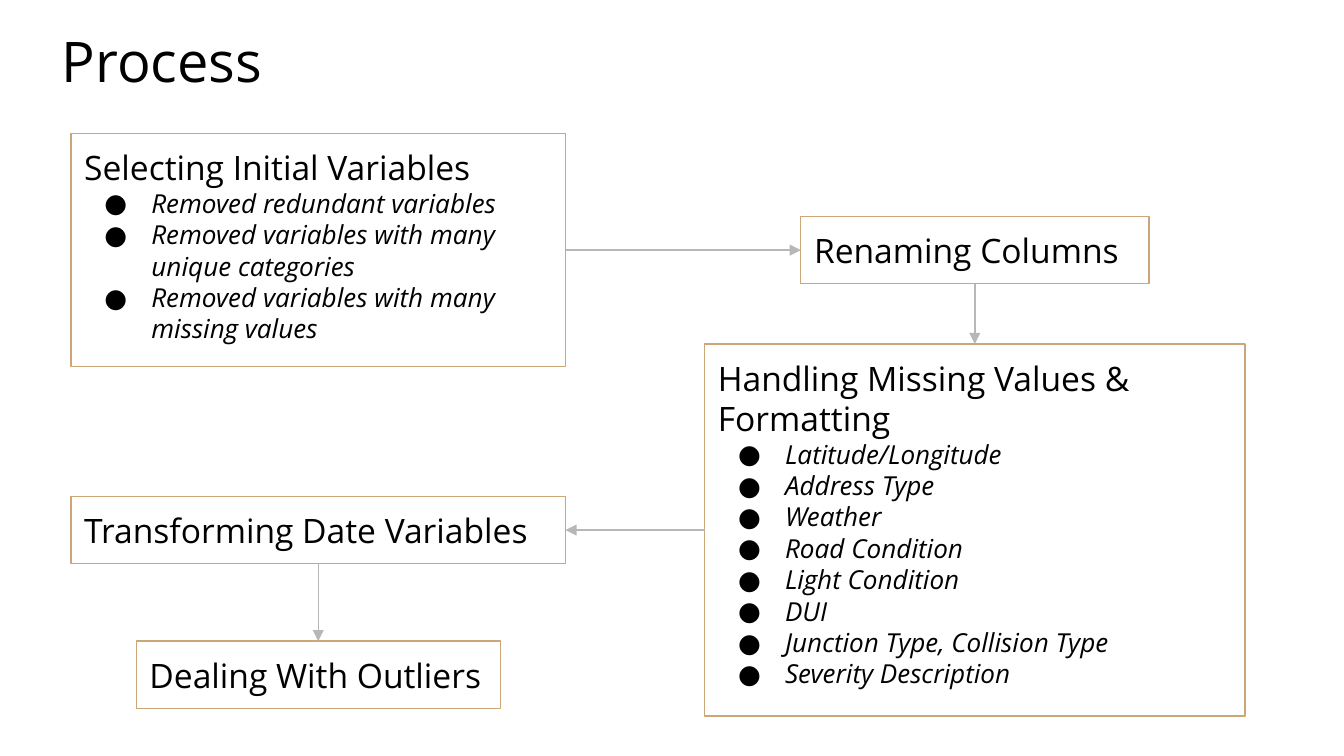
from dataclasses import dataclass

from lxml.etree import SubElement
from pptx import Presentation
from pptx.dml.color import RGBColor
from pptx.enum.shapes import MSO_CONNECTOR as Connector, MSO_SHAPE as Shape
from pptx.enum.text import MSO_ANCHOR as Anchor, PP_ALIGN as Align
from pptx.oxml.ns import qn
from pptx.util import Pt


@dataclass(frozen=True)
class Theme:
    font: str = "Open Sans"
    ink: str = "000000"
    border: str = "CCA677"
    arrow: str = "B7B7B7"
    title: int = 30
    heading: int = 18
    detail: int = 14
    rule: float = 0.75
    inset: float = 7.2
    indent: float = 36
    hanging: float = -25.2


THEME = Theme()
TOP, LEFT, BOTTOM, RIGHT = range(4)

STEPS = {
    "select": ((38, 71.5, 265, 125), "Selecting Initial Variables", [
        "Removed redundant variables",
        "Removed variables with many unique categories",
        "Removed variables with many missing values",
    ]),
    "rename": ((429, 116, 186.5, 36), "Renaming Columns", []),
    "missing": ((377.5, 184.3, 289.5, 199.4), "Handling Missing Values & Formatting", [
        "Latitude/Longitude",
        "Address Type",
        "Weather",
        "Road Condition",
        "Light Condition",
        "DUI",
        "Junction Type, Collision Type",
        "Severity Description",
    ]),
    "dates": ((38, 266, 265, 36), "Transforming Date Variables", []),
    "outliers": ((73, 343.5, 195, 36), "Dealing With Outliers", []),
}

ARROWS = [
    ("select", RIGHT, "rename", LEFT),
    ("rename", BOTTOM, "missing", TOP),
    ("missing", LEFT, "dates", RIGHT),
    ("dates", BOTTOM, "outliers", TOP),
]


def color(value):
    return RGBColor.from_string(value)


def prepare_frame(frame):
    frame.word_wrap = True
    frame.vertical_anchor = Anchor.TOP
    frame.margin_left = frame.margin_right = Pt(THEME.inset)
    frame.margin_top = frame.margin_bottom = Pt(THEME.inset)


def add_bullet(para):
    properties = para._p.get_or_add_pPr()
    properties.set("marL", str(Pt(THEME.indent)))
    properties.set("indent", str(Pt(THEME.hanging)))
    bullet_color = SubElement(properties, qn("a:buClr"))
    SubElement(bullet_color, qn("a:srgbClr"), val=THEME.ink)
    SubElement(properties, qn("a:buFont"), typeface=THEME.font)
    SubElement(properties, qn("a:buChar"), char="●")


def write(para, text, *, size, italic=False, bullet=False):
    para.alignment = Align.LEFT
    if bullet:
        add_bullet(para)
    span = para.add_run()
    span.text = text
    span.font.name = THEME.font
    span.font.size = Pt(size)
    span.font.italic = italic
    span.font.color.rgb = color(THEME.ink)


def add_title(page, box, text):
    frame = page.shapes.add_textbox(*map(Pt, box)).text_frame
    prepare_frame(frame)
    write(frame.paragraphs[0], text, size=THEME.title)


def add_step(page, box, heading, details):
    step = page.shapes.add_shape(Shape.RECTANGLE, *map(Pt, box))
    step.shadow.inherit = False
    step.fill.background()
    step.line.color.rgb = color(THEME.border)
    step.line.width = Pt(THEME.rule)
    frame = step.text_frame
    prepare_frame(frame)
    write(frame.paragraphs[0], heading, size=THEME.heading)
    for detail in details:
        write(frame.add_paragraph(), detail, size=THEME.detail, italic=True, bullet=True)
    return step


def add_arrow(page, start, start_side, end, end_side):
    arrow = page.shapes.add_connector(Connector.STRAIGHT, 0, 0, 0, 0)
    arrow.begin_connect(start, start_side)
    arrow.end_connect(end, end_side)
    arrow.line.color.rgb = color(THEME.arrow)
    arrow.line.width = Pt(THEME.rule)
    SubElement(arrow.line._get_or_add_ln(), qn("a:tailEnd"), type="triangle")
    SubElement(arrow._element.spPr, qn("a:effectLst"))


def add_process_page(deck):
    page = deck.slides.add_slide(deck.slide_layouts[6])
    add_title(page, (26, 7.2, 279.5, 52), "Process")
    steps = {name: add_step(page, *content) for name, content in STEPS.items()}
    for start, start_side, end, end_side in ARROWS:
        add_arrow(page, steps[start], start_side, steps[end], end_side)


def main():
    deck = Presentation()
    deck.slide_width, deck.slide_height = Pt(720), Pt(405)
    add_process_page(deck)
    deck.save("out.pptx")


if __name__ == "__main__":
    main()
